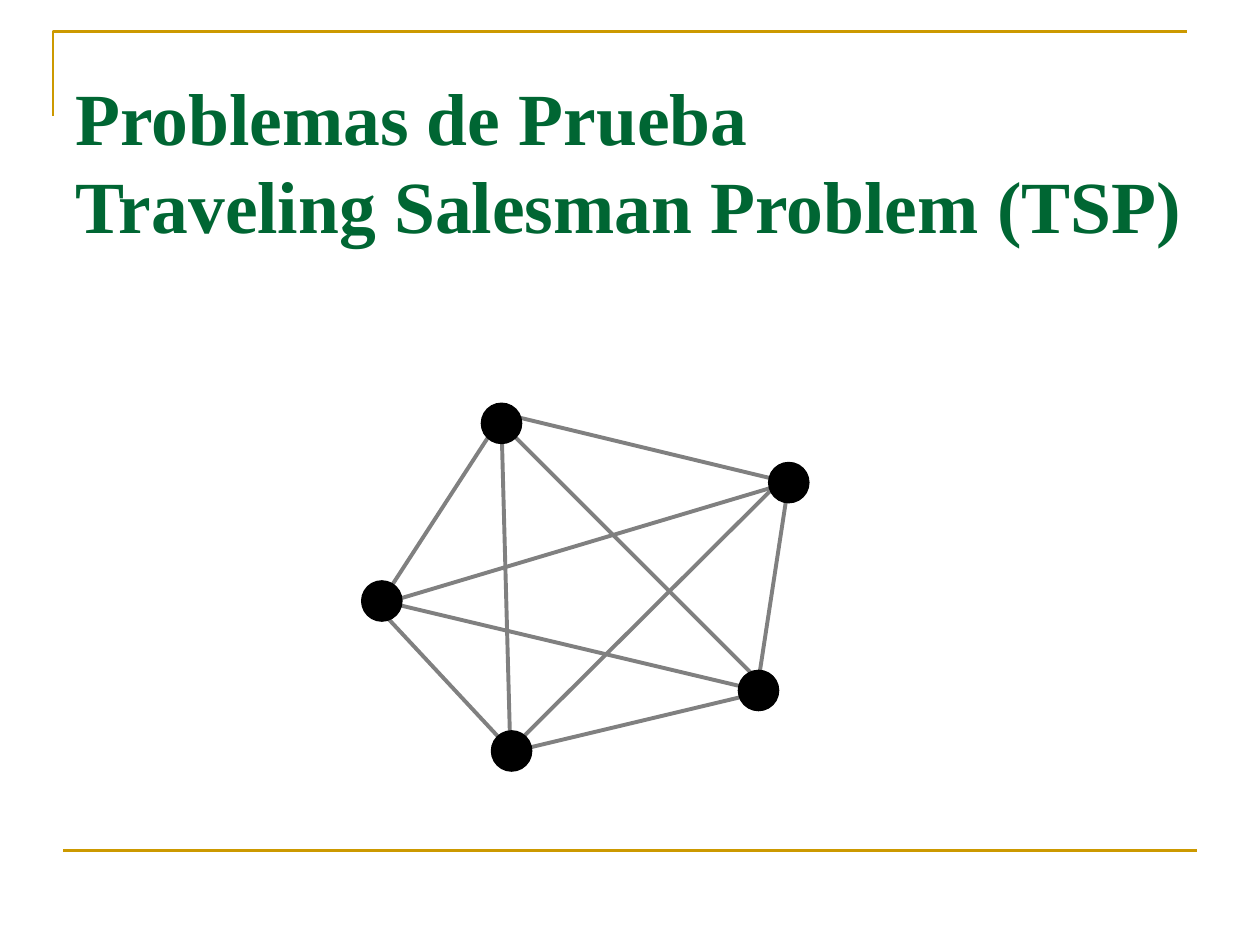
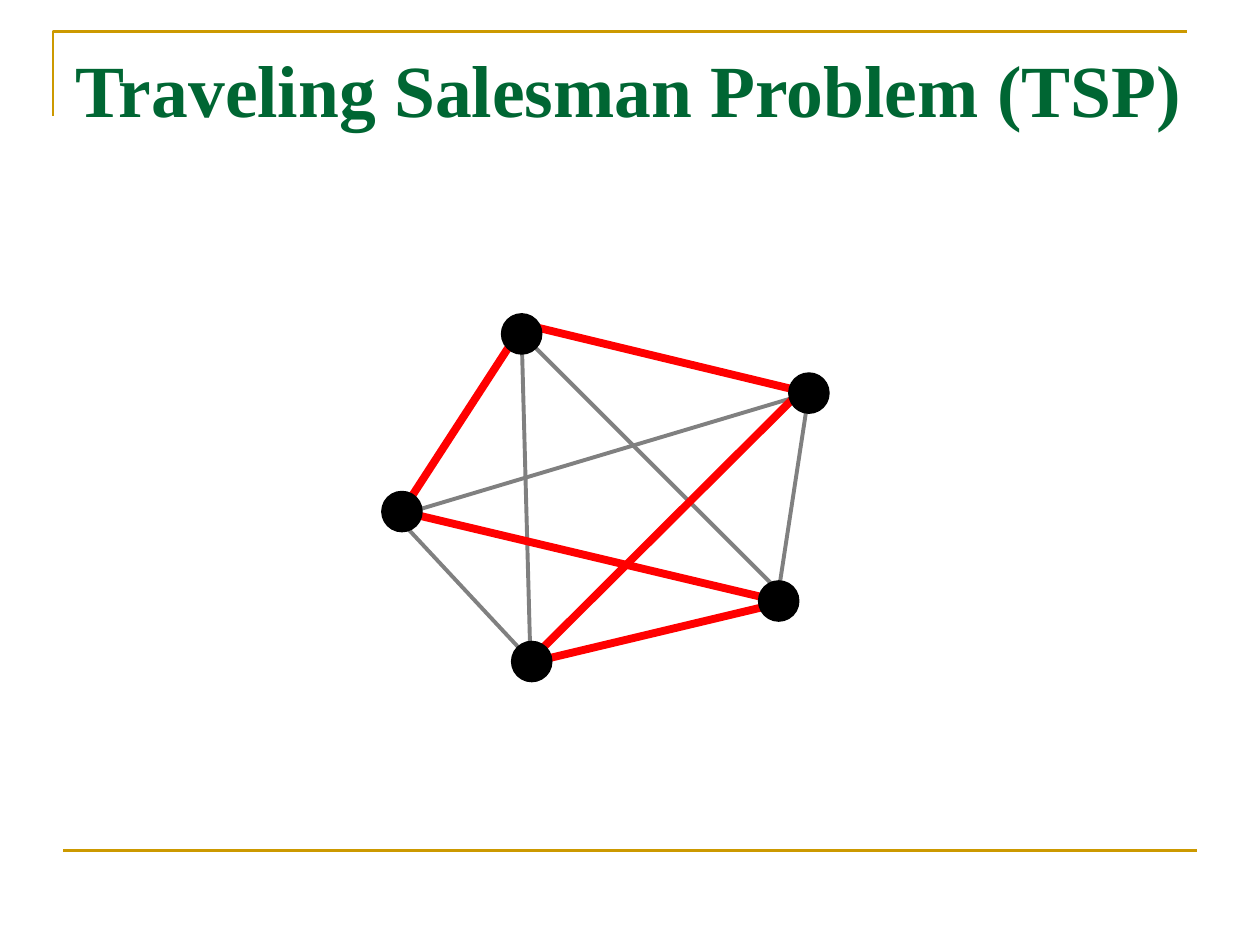
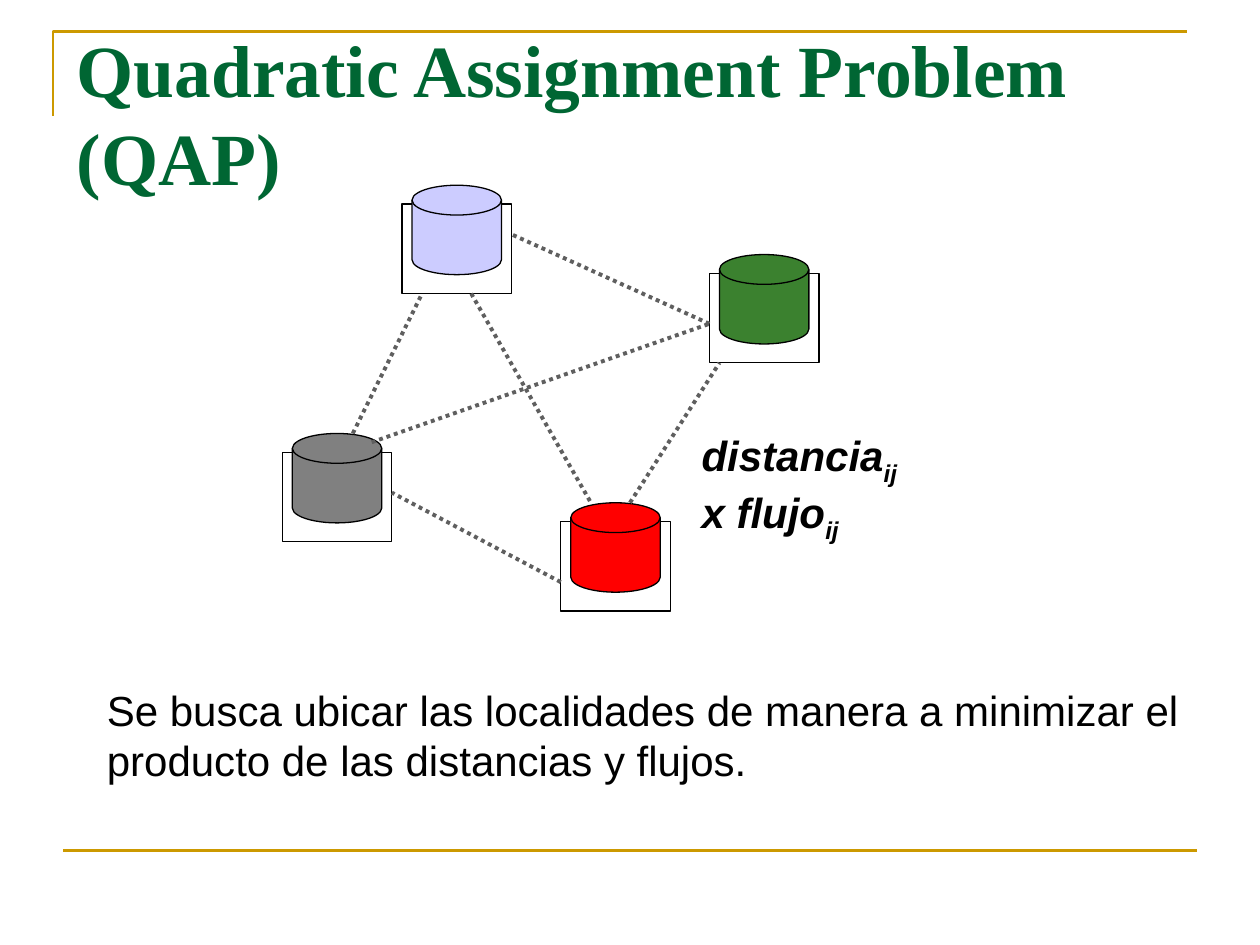
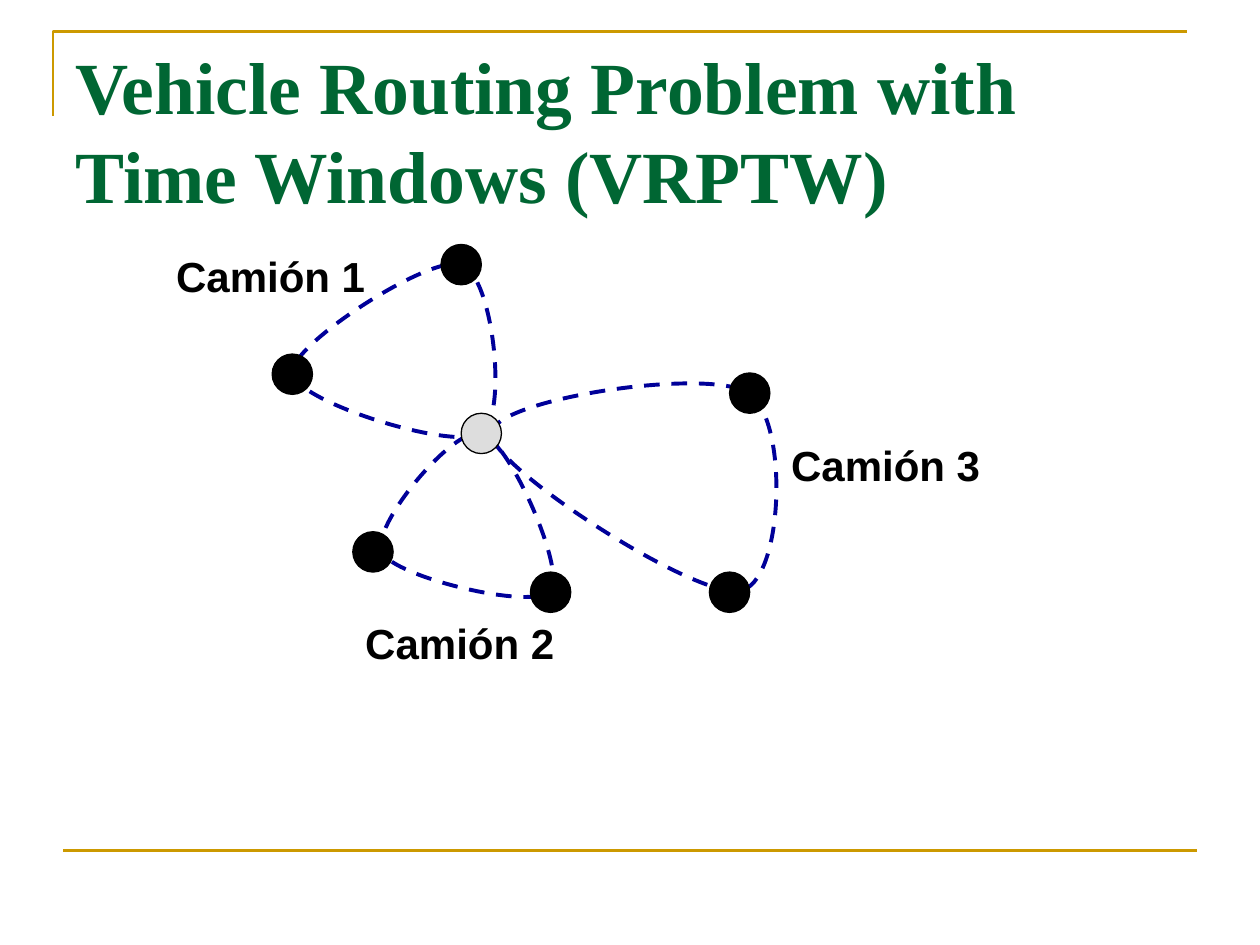
from lxml.etree import SubElement
from pptx import Presentation
from pptx.dml.color import RGBColor
from pptx.enum.dml import MSO_LINE
from pptx.enum.shapes import MSO_CONNECTOR, MSO_SHAPE
from pptx.enum.text import MSO_ANCHOR
from pptx.oxml.ns import qn
from pptx.util import Emu, Pt

PX = 9144  # 100 px to the inch
COLOURS = {
    "gold": "CC9900", "green": "006633", "black": "000000", "grey": "808080",
    "red": "FF0000", "dotted": "5F5F5F", "lilac": "CCCCFF", "leaf": "3B812F",
    "navy": "000099", "depot": "DDDDDD",
}
TITLE = {"name": "Times New Roman", "size": Pt(42), "bold": True}
BODY = {"name": "Arial", "size": Pt(24)}
LABEL = BODY | {"bold": True}
FORMULA = LABEL | {"italic": True}
FRAME = {
    "margin_left": Emu(10 * PX), "margin_right": Emu(10 * PX),
    "margin_top": Emu(5 * PX), "margin_bottom": Emu(5 * PX),
    "word_wrap": True, "vertical_anchor": MSO_ANCHOR.TOP,
}
NODE = 32


def finish(shape, line, width, fill=None, dash=None):
    """Set outline and fill, and drop the theme shadow."""
    shape.line.color.rgb = RGBColor.from_string(COLOURS[line])
    shape.line.width = Pt(width)
    if dash:
        shape.line.dash_style = dash
    if fill:
        shape.fill.solid()
        shape.fill.fore_color.rgb = RGBColor.from_string(COLOURS[fill])
    elif hasattr(shape, "fill"):
        shape.fill.background()
    SubElement(shape._element.spPr, qn("a:effectLst"))


def write(slide, box, pieces, font, colour="black"):
    """Add a text box; every second piece is a subscript."""
    frame = slide.shapes.add_textbox(*[n * PX for n in box]).text_frame
    for key, value in FRAME.items():
        setattr(frame, key, value)
    paragraph = frame.paragraphs[0]
    for number, piece in enumerate(pieces):
        for row, words in enumerate(piece.split("\n")):
            if row:
                paragraph.add_line_break()
            run = paragraph.add_run()
            run.text = words
            run.font.color.rgb = RGBColor.from_string(COLOURS[colour])
            for key, value in font.items():
                setattr(run.font, key, value)
            if number % 2:
                run._r.get_or_add_rPr().set("baseline", "-25000")


deck = Presentation()
deck.slide_width, deck.slide_height = 1000 * PX, 750 * PX

# Gold frame and title of every slide
titles = [
    ((50, 52, 900, 197), "Problemas de Prueba\nTraveling Salesman Problem (TSP)"),
    ((50, 30, 900, 125), "Traveling Salesman Problem (TSP)"),
    ((51, 14, 937, 125), "Quadratic Assignment Problem (QAP)"),
    ((50, 28, 900, 125), "Vehicle Routing Problem with Time Windows (VRPTW)"),
]
for box, title in titles:
    slide = deck.slides.add_slide(deck.slide_layouts[6])
    corner = slide.shapes.build_freeform(42, 92, scale=PX)
    corner.add_line_segments([(42, 25), (942, 25)], close=False)
    finish(corner.convert_to_shape(), "gold", 1.5)
    footer_rule = slide.shapes.add_connector(
        MSO_CONNECTOR.STRAIGHT, 50 * PX, 675 * PX, 950 * PX, 675 * PX)
    finish(footer_rule, "gold", 1.5)
    write(slide, box, [title], TITLE, "green")

graph_slide, tour_slide, qap_slide, routing_slide = deck.slides

# Slides 1 and 2: the same city graph, the second with its tour in red
edges = [  # ends, on the tour
    ((390, 343, 303, 477), True),
    ((398, 336, 405, 595), False),
    ((405, 343, 602, 540), False),
    ((398, 328, 626, 383), True),
    ((295, 477, 405, 595), False),
    ((303, 477, 602, 548), True),
    ((311, 477, 626, 383), False),
    ((405, 595, 626, 375), True),
    ((413, 595, 610, 548), True),
    ((602, 540, 626, 383), False),
]
cities = [(287, 461), (390, 580), (586, 532), (610, 367), (382, 320)]
for slide, dx, dy, show_tour in [(graph_slide, 0, 0, False), (tour_slide, 16, -71, True)]:
    for (x1, y1, x2, y2), on_tour in edges:
        edge = slide.shapes.add_connector(
            MSO_CONNECTOR.STRAIGHT,
            (x1 + dx) * PX, (y1 + dy) * PX, (x2 + dx) * PX, (y2 + dy) * PX)
        if show_tour and on_tour:
            finish(edge, "red", 4.5)
        else:
            finish(edge, "grey", 2.25)
    for x, y in cities:
        city = slide.shapes.add_shape(
            MSO_SHAPE.OVAL, (x + dx) * PX, (y + dy) * PX, NODE * PX, NODE * PX)
        finish(city, "black", 0.75, "black")

# Slide 3: facilities on their sites
write(qap_slide, (75, 538, 874, 90),
      ["Se busca ubicar las localidades de manera a minimizar el producto "
       "de las distancias y flujos."], BODY)
sites = [(319, 162, "lilac"), (445, 414, "red"), (224, 359, "grey"), (563, 217, "leaf")]
for x, y, colour in sites:
    site = qap_slide.shapes.add_shape(
        MSO_SHAPE.RECTANGLE, x * PX, y * PX, 87 * PX, 71 * PX)
    finish(site, "black", 0.75)
for x, y, colour in sites:
    facility = qap_slide.shapes.add_shape(
        MSO_SHAPE.FLOWCHART_MAGNETIC_DISK,
        (x + 8) * PX, (y - 15) * PX, 71 * PX, 71 * PX)
    finish(facility, "black", 0.75, colour)
flows = [
    (500, 399, 571, 288), (563, 257, 406, 186), (280, 344, 335, 233),
    (445, 462, 311, 391), (295, 351, 563, 257), (374, 233, 469, 399),
]
for ends in flows:
    flow = qap_slide.shapes.add_connector(
        MSO_CONNECTOR.STRAIGHT, *[n * PX for n in ends])
    finish(flow, "dotted", 2.25, dash=MSO_LINE.ROUND_DOT)
write(qap_slide, (547, 336, 197, 101), ["distancia", "ij", " x flujo", "ij"], FORMULA)

# Slide 4: one closed route of three Bézier curves for each truck
routes = [
    [(382, 344), (360, 358), (235, 319), (232, 296), (230, 274),
     (341, 202), (366, 210), (391, 217), (404, 329), (382, 344)],
    [(390, 344), (391, 317), (562, 291), (594, 312), (627, 333),
     (622, 464), (587, 469), (551, 475), (389, 370), (390, 344)],
    [(382, 344), (404, 349), (450, 454), (437, 469), (424, 485),
     (312, 458), (303, 438), (294, 418), (360, 338), (382, 344)],
]
for start, *points in routes:
    builder = routing_slide.shapes.build_freeform(*start, scale=PX)
    builder.add_line_segments(points, close=True)
    route = builder.convert_to_shape()
    outline = route._element.find(".//" + qn("a:path"))
    steps = outline.findall(qn("a:lnTo"))
    for first, second, third in zip(steps[::3], steps[1::3], steps[2::3]):
        curve = outline.makeelement(qn("a:cubicBezTo"))
        first.addprevious(curve)
        for step in (first, second, third):
            curve.append(step[0])
            outline.remove(step)
    finish(route, "navy", 2.25, dash=MSO_LINE.DASH)

stops = [
    (216, 281, "black"), (280, 422, "black"), (563, 454, "black"), (579, 296, "black"),
    (350, 194, "black"), (366, 328, "depot"), (421, 454, "black"),
]
for x, y, colour in stops:
    stop = routing_slide.shapes.add_shape(
        MSO_SHAPE.OVAL, x * PX, y * PX, NODE * PX, NODE * PX)
    finish(stop, "black", 0.75, colour)
trucks = [(3, 618, 344, 189), (1, 130, 194, 173), (2, 280, 485, 181)]
for number, x, y, width in trucks:
    write(routing_slide, (x, y, width, 50), [f"Camión {number}"], LABEL)

deck.save("out.pptx")
